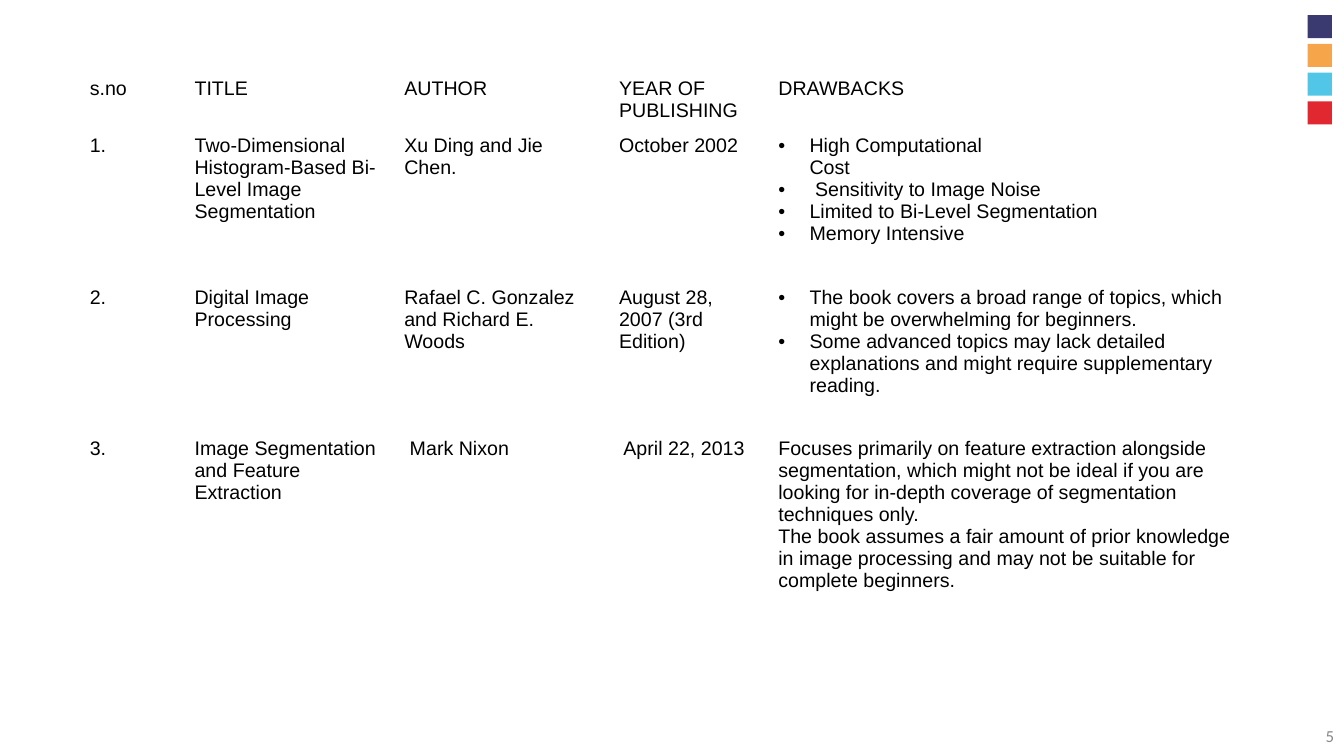
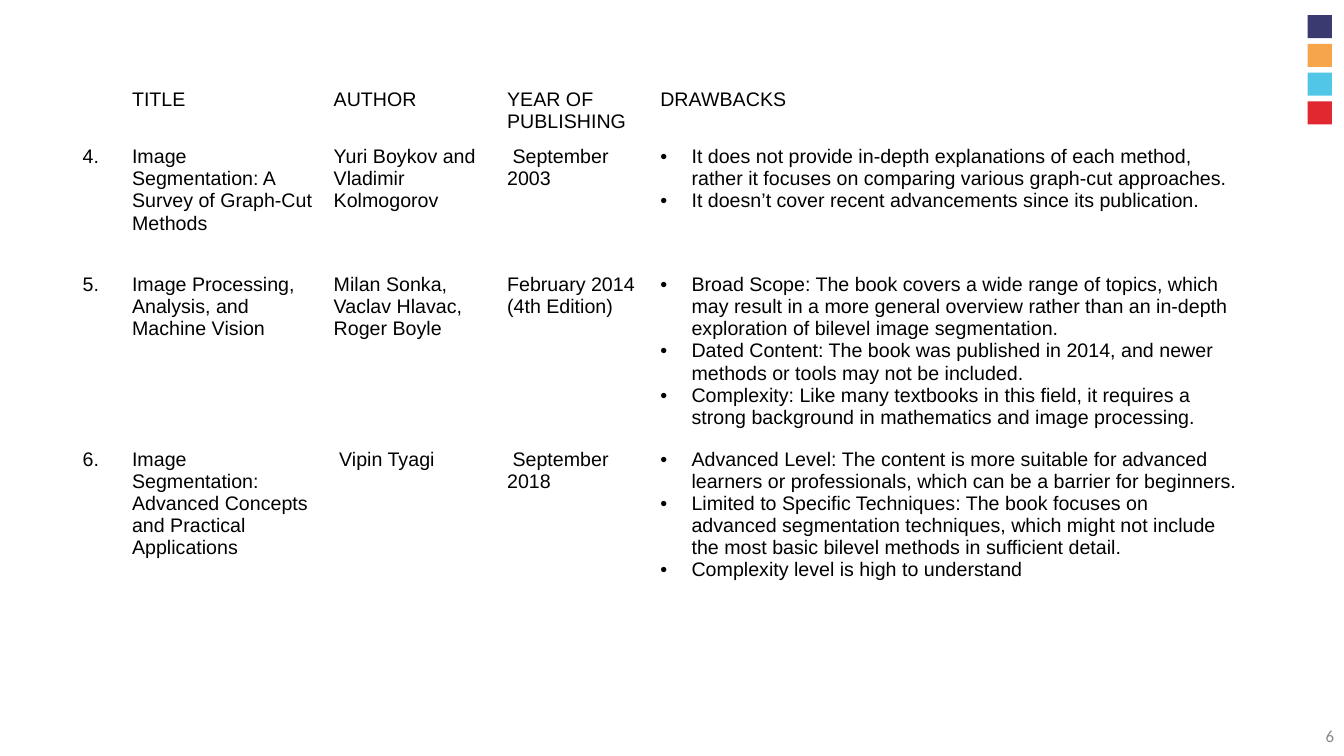
from lxml import etree
from pptx import Presentation
from pptx.dml.color import RGBColor
from pptx.enum import shapes, text
from pptx.oxml import ns
from pptx.util import Inches, Pt

BLACK = RGBColor(0x00, 0x00, 0x00)
GREY = RGBColor(0x88, 0x88, 0x88)
SQUARE_COLOURS = [
    RGBColor(0x3A, 0x3A, 0x70),
    RGBColor(0xF7, 0xA5, 0x4B),
    RGBColor(0x51, 0xC6, 0xE7),
    RGBColor(0xE1, 0x27, 0x30),
]
BULLET = "• "  # marks list items in the content below
INDENTED = "> "  # marks a line set in under a list item

HEADINGS = ["TITLE", "AUTHOR", "YEAR OF PUBLISHING", "DRAWBACKS"]

# Each survey: first page number, table corner, column widths, row heights, rows
SURVEYS = [
    dict(
        page=5, left=0.79, top=0.72,
        widths=[1.04, 2.08, 2.13, 1.58, 4.86],
        heights=[0.57, 1.5, 1.5, 3.13],
        rows=[
            ["s.no", *HEADINGS],
            ["1.", "Two-Dimensional Histogram-Based Bi-Level Image Segmentation",
             "Xu Ding and Jie Chen.", "October 2002",
             ["• High Computational", "> Cost", "•  Sensitivity to Image Noise",
              "• Limited to Bi-Level Segmentation", "• Memory Intensive"]],
            ["2.", "Digital Image Processing",
             "Rafael C. Gonzalez and Richard E. Woods",
             "August 28, 2007 (3rd Edition)",
             ["• The book covers a broad range of topics, which might be "
              "overwhelming for beginners.",
              "• Some advanced topics may lack detailed explanations and might "
              "require supplementary reading."]],
            ["3.", "Image Segmentation and Feature Extraction",
             " Mark Nixon", " April 22, 2013",
             ["Focuses primarily on feature extraction alongside segmentation, "
              "which might not be ideal if you are looking for in-depth coverage "
              "of segmentation techniques only.",
              "The book assumes a fair amount of prior knowledge in image "
              "processing and may not be suitable for complete beginners."]],
        ],
    ),
    dict(
        page=6, left=0.72, top=0.83,
        widths=[0.49, 2, 1.72, 1.52, 5.94],
        heights=[0.57, 1.27, 1.73, 2.9],
        rows=[
            ["", *HEADINGS],
            ["4.", "Image Segmentation: A Survey of Graph-Cut Methods",
             "Yuri Boykov and Vladimir Kolmogorov", " September 2003",
             ["• It does not provide in-depth explanations of each method, rather "
              "it focuses on comparing various graph-cut approaches.",
              "• It doesn’t cover recent advancements since its publication."]],
            ["5.", "Image Processing, Analysis, and Machine Vision",
             "Milan Sonka, Vaclav Hlavac, Roger Boyle",
             ["February 2014", "(4th Edition)"],
             ["• Broad Scope: The book covers a wide range of topics, which may "
              "result in a more general overview rather than an in-depth "
              "exploration of bilevel image segmentation.",
              "• Dated Content: The book was published in 2014, and newer methods "
              "or tools may not be included.",
              "• Complexity: Like many textbooks in this field, it requires a "
              "strong background in mathematics and image processing."]],
            ["6.", "Image Segmentation: Advanced Concepts and Practical Applications",
             " Vipin Tyagi", " September 2018",
             ["• Advanced Level: The content is more suitable for advanced "
              "learners or professionals, which can be a barrier for beginners.",
              "• Limited to Specific Techniques: The book focuses on advanced "
              "segmentation techniques, which might not include the most basic "
              "bilevel methods in sufficient detail.",
              "• Complexity level is high to understand"]],
        ],
    ),
]


def style_runs(paragraph, font_name, size, colour):
    for run in paragraph.runs:
        run.font.name = font_name
        run.font.size = Pt(size)
        run.font.color.rgb = colour


def add_squares(slide, left, top):
    """Column of coloured squares at the right edge."""
    for i, colour in enumerate(SQUARE_COLOURS):
        square = slide.shapes.add_shape(
            shapes.MSO_SHAPE.RECTANGLE, Inches(left), Inches(top + i * 0.285),
            Inches(0.24), Inches(0.23))
        square.shadow.inherit = False
        square.fill.solid()
        square.fill.fore_color.rgb = colour
        square.line.fill.background()


def add_page_number(slide, page, left, top):
    footer = slide.shapes.add_textbox(
        Inches(left), Inches(top), Inches(3), Inches(0.4))
    frame = footer.text_frame
    frame.word_wrap = True
    frame.vertical_anchor = text.MSO_ANCHOR.MIDDLE
    frame.text = str(page)
    frame.paragraphs[0].alignment = text.PP_ALIGN.RIGHT
    style_runs(frame.paragraphs[0], "Calibri", 12, GREY)


def set_indent(paragraph, bulleted):
    props = paragraph._p.get_or_add_pPr()
    props.set("marL", str(Inches(0.31)))
    props.set("indent", str(Inches(-0.31 if bulleted else 0)))
    if bulleted:
        bullet_font = etree.SubElement(props, ns.qn("a:buFont"))
        bullet_font.set("typeface", "Arial")
        etree.SubElement(props, ns.qn("a:buChar")).set("char", BULLET.strip())


def fill_cell(cell, content):
    cell.fill.background()
    lines = [content] if isinstance(content, str) else content
    frame = cell.text_frame
    for i, line in enumerate(lines):
        paragraph = frame.paragraphs[0] if i == 0 else frame.add_paragraph()
        bulleted = line.startswith(BULLET)
        if bulleted or line.startswith(INDENTED):
            set_indent(paragraph, bulleted)
            line = line[2:]
        paragraph.text = line
        style_runs(paragraph, "Arial", 14, BLACK)


def add_survey_table(slide, left, top, widths, heights, rows):
    survey = slide.shapes.add_table(
        len(heights), len(widths), Inches(left), Inches(top),
        Inches(sum(widths)), Inches(sum(heights))).table
    survey.first_row = False
    survey.horz_banding = False
    for column, width in zip(survey.columns, widths):
        column.width = Inches(width)
    for row, height, contents in zip(survey.rows, heights, rows):
        row.height = Inches(height)
        for cell, content in zip(row.cells, contents):
            fill_cell(cell, content)


def add_survey_slide(prs, page, **table_parts):
    slide = prs.slides.add_slide(prs.slide_layouts[6])
    add_squares(slide, 12.97, 0.15)
    add_page_number(slide, page, 10.33, 7.1)
    add_survey_table(slide, **table_parts)


def main():
    prs = Presentation()
    prs.slide_width = Inches(13.33)
    prs.slide_height = Inches(7.5)
    for survey in SURVEYS:
        add_survey_slide(prs, **survey)
    prs.save("out.pptx")


if __name__ == "__main__":
    main()
